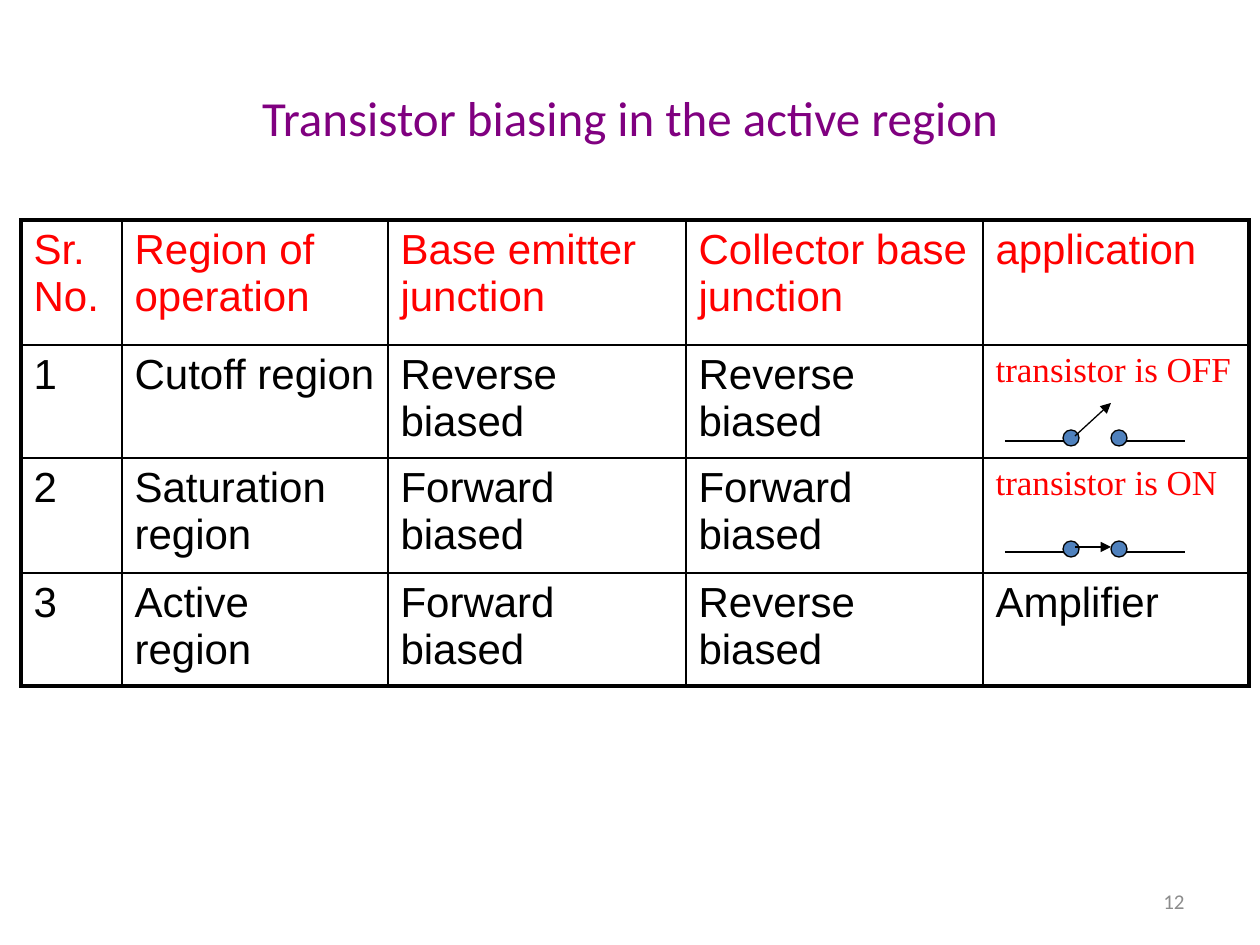
from lxml.etree import SubElement
from pptx import Presentation
from pptx.dml.color import RGBColor
from pptx.enum.shapes import MSO_CONNECTOR, MSO_SHAPE
from pptx.enum.text import MSO_ANCHOR, PP_ALIGN
from pptx.oxml.ns import qn
from pptx.util import Pt

EMU_PER_PX = 914400 / 126
HEADINGS = ["Sr.No.", "Region of operation", "Base emitter junction",
            "Collector base junction", "application"]
REGIONS = [
    ["1", "Cutoff region", "Reverse biased", "Reverse biased", "transistor is OFF"],
    ["2", "Saturation region", "Forward biased", "Forward biased", "transistor is ON"],
    ["3", "Active region", "Forward biased", "Reverse biased", "Amplifier"],
]
COLUMN_WIDTHS = [101, 266, 298, 297, 266]
ROW_HEIGHTS = [125, 113, 115, 113]


def px(length):
    """Turn pixels into EMU."""
    return round(length * EMU_PER_PX)


def color(value):
    """Turn a hex string into a colour."""
    return RGBColor.from_string(value)


def write(frame, text, size, font, ink, align):
    """Set one paragraph of text and format its runs."""
    frame.word_wrap = True
    paragraph = frame.paragraphs[0]
    paragraph.text = text
    paragraph.alignment = align
    for run in paragraph.runs:
        run.font.size = Pt(size)
        run.font.name = font
        run.font.color.rgb = color(ink)


def add_title(slide, left, top, width, height):
    """Place the slide title."""
    title = slide.shapes.title
    title.left, title.top, title.width, title.height = map(px, (left, top, width, height))
    title.text_frame.vertical_anchor = MSO_ANCHOR.MIDDLE
    write(title.text_frame, "Transistor biasing in the active region",
          28, "Calibri", "800080", PP_ALIGN.CENTER)


def set_borders(cell, widths):
    """Draw black borders of the given point widths around a cell."""
    properties = cell._tc.get_or_add_tcPr()
    for side, width in widths.items():
        border = SubElement(properties, qn(f"a:ln{side}"), w=str(Pt(width)))
        fill = SubElement(border, qn("a:solidFill"))
        SubElement(fill, qn("a:srgbClr"), val="000000")


def add_regions_table(slide, left, top):
    """Place the table of operating regions."""
    rows = [HEADINGS, *REGIONS]
    last_row, last_column = len(rows) - 1, len(HEADINGS) - 1
    table = slide.shapes.add_table(
        len(rows), len(HEADINGS), px(left), px(top),
        px(sum(COLUMN_WIDTHS)), px(sum(ROW_HEIGHTS))).table
    table.first_row = table.horz_banding = False
    for column, width in zip(table.columns, COLUMN_WIDTHS):
        column.width = px(width)
    for r, texts in enumerate(rows):
        table.rows[r].height = px(ROW_HEIGHTS[r])
        for c, text in enumerate(texts):
            cell = table.cell(r, c)
            is_state = text.startswith("transistor")
            size, font = (20, "Times New Roman") if is_state else (24, "Arial")
            ink = "FF0000" if is_state or r == 0 else "000000"
            write(cell.text_frame, text, size, font, ink, PP_ALIGN.LEFT)
            outer = {"L": c == 0, "R": c == last_column, "T": r == 0, "B": r == last_row}
            set_borders(cell, {side: 2.25 if edge else 1 for side, edge in outer.items()})
            cell.fill.background()


def add_wire(slide, start, end, arrow=False):
    """Draw a thin black line, with an arrowhead on request."""
    wire = slide.shapes.add_connector(
        MSO_CONNECTOR.STRAIGHT, *map(px, (*start, *end)))
    wire.line.width = Pt(0.75)
    wire.line.color.rgb = color("000000")
    if arrow:
        SubElement(wire.line._get_or_add_ln(), qn("a:tailEnd"), type="triangle")
    SubElement(wire._element.spPr, qn("a:effectLst"))


def add_switch(slide, left, top, is_open):
    """Draw an open or closed switch with its leads and contacts."""
    for start, end in ((0, 65), (117, 180)):
        add_wire(slide, (left + start, top + 38), (left + end, top + 38))
    for offset in (58, 106):
        contact = slide.shapes.add_shape(
            MSO_SHAPE.OVAL, px(left + offset), px(top + 27), px(16), px(16))
        contact.shadow.inherit = False
        contact.fill.solid()
        contact.fill.fore_color.rgb = color("4F81BD")
        contact.line.color.rgb = color("000000")
        contact.line.width = Pt(0.75)
    lever_tip = top if is_open else top + 33
    add_wire(slide, (left + 70, top + 33), (left + 106, lever_tip), arrow=True)


def add_page_number(slide, left, top, width, height):
    """Place the page number."""
    number = slide.shapes.add_textbox(*map(px, (left, top, width, height)))
    number.text_frame.vertical_anchor = MSO_ANCHOR.MIDDLE
    write(number.text_frame, "12", 12, "Calibri", "8C8C8C", PP_ALIGN.RIGHT)


def main():
    """Build and save the slide."""
    deck = Presentation()
    deck.slide_width, deck.slide_height = px(1260), px(945)
    slide = deck.slides.add_slide(deck.slide_layouts[5])
    add_title(slide, 63, 38, 1134, 158)
    add_regions_table(slide, 21, 220)
    add_switch(slide, 1005, 403, is_open=True)
    add_switch(slide, 1005, 514, is_open=False)
    add_page_number(slide, 903, 876, 294, 50)
    deck.save("out.pptx")


if __name__ == "__main__":
    main()
